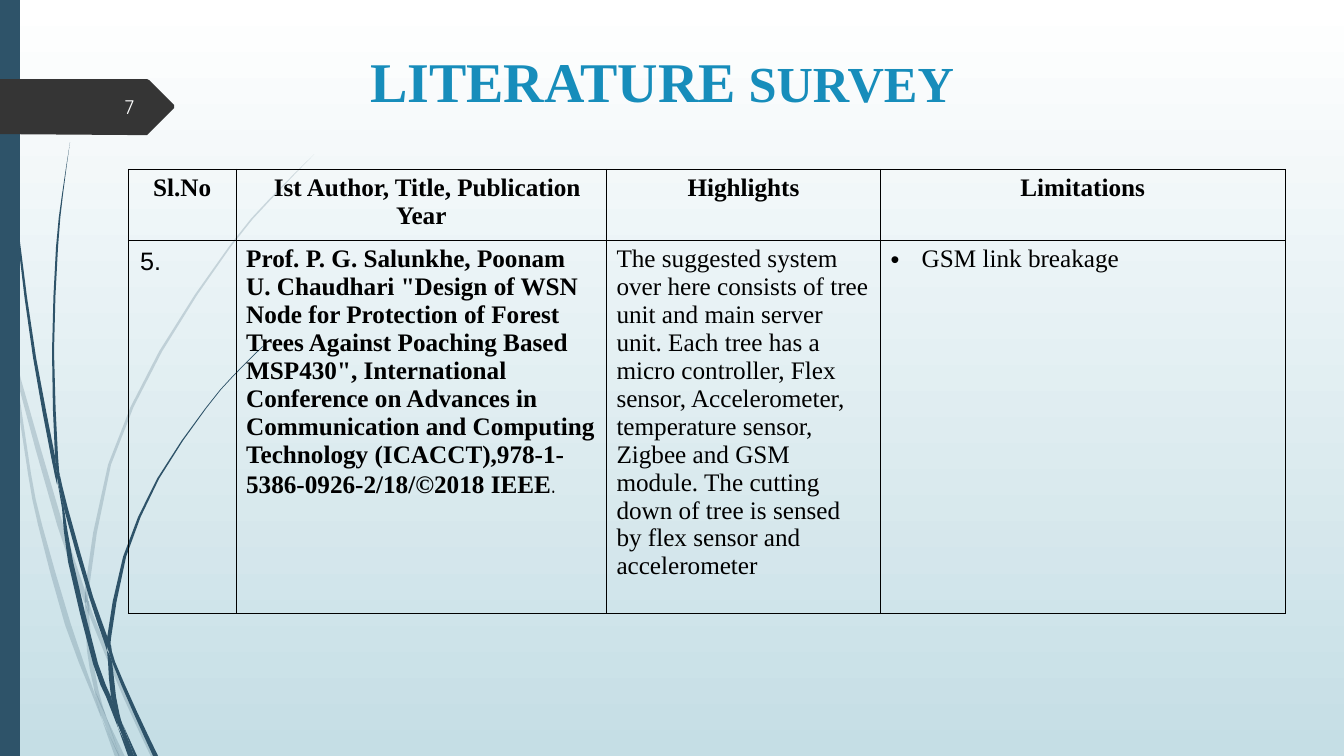
from lxml import etree
from pptx import Presentation, util as u
from pptx.dml.color import RGBColor
from pptx.enum import shapes, text
from pptx.oxml.ns import qn

SCALE = 9080
SERIF = "Times New Roman"
TEAL = "2E5369"
ALIGN = text.PP_ALIGN

PALE = [
    [(0, 0, 284), (0, 4, 301), (5, 8, 324), (11, 11, 352)],
    [(14, 14, 347), (17, 21, 379), (57, 63, 524), (80, 85, 590),
     (85, 85, 603)],
    [(89, 89, 600), (89, 93, 614), (124, 128, 698), (151, 156, 756)],
    [(106, 106, 716), (120, 125, 756)],
    [(11, 11, 352), (14, 17, 379), (28, 31, 473), (38, 42, 524),
     (65, 71, 624), (91, 94, 691), (102, 102, 719)],
    [(85, 85, 603), (85, 89, 614), (87, 92, 650), (94, 98, 688),
     (106, 106, 716)],
    [(314, 314, 154), (269, 271, 199), (229, 231, 246), (159, 162, 351),
     (108, 111, 464), (85, 89, 588), (89, 89, 600)],
    [(102, 102, 719), (115, 120, 756)],
    [(85, 85, 590), (85, 89, 603), (89, 89, 614)],
    [(94, 94, 688), (100, 105, 712), (119, 120, 756)],
]
DARK = [
    [(3, 3, 0), (7, 8, 110), (17, 19, 234), (33, 36, 357), (51, 55, 456),
     (57, 57, 484)],
    [(60, 60, 475), (64, 68, 508), (89, 93, 596), (102, 107, 635),
     (107, 107, 650)],
    [(111, 111, 645), (112, 115, 661), (133, 137, 711), (153, 158, 755)],
    [(57, 57, 480), (62, 64, 508), (68, 73, 561), (93, 98, 663),
     (106, 111, 696), (118, 118, 727)],
    [(70, 70, 142), (62, 63, 194), (56, 58, 247), (52, 54, 351),
     (55, 58, 456), (60, 60, 475)],
    [(123, 123, 724), (134, 137, 755)],
    [(55, 55, 452), (57, 60, 477), (64, 64, 508)],
    [(262, 263, 346), (232, 233, 376), (205, 206, 408), (157, 159, 478),
     (123, 126, 556), (107, 111, 637), (111, 111, 645)],
    [(118, 118, 727), (128, 132, 755)],
    [(107, 107, 650), (108, 112, 661), (111, 116, 696), (122, 122, 724)],
    [(107, 107, 635), (107, 111, 645), (112, 112, 661)],
    [(111, 111, 696), (117, 122, 722), (131, 134, 755)],
]
TAG = [(0, 79), (147, 79), (149, 80), (174, 105), (174, 108), (149, 133),
       (147, 135), (0, 134)]
HEADS = ["Sl.No", "Ist Author, Title, Publication Year", "Highlights",
         "Limitations"]
PAPER = ('Prof. P. G. Salunkhe, Poonam U. Chaudhari "Design of WSN Node for '
         'Protection of Forest Trees Against Poaching Based MSP430", '
         'International Conference on Advances in Communication and Computing '
         'Technology (ICACCT),978-1- 5386-0926-2/18/©2018 IEEE')
POINTS = ("The suggested system over here consists of tree unit and main "
          "server unit. Each tree has a micro controller, Flex sensor, "
          "Accelerometer, temperature sensor, Zigbee and GSM module. The "
          "cutting down of tree is sensed by flex sensor and accelerometer")


def px(num):
    """Turn pixels into EMU."""
    return u.Emu(round(num * SCALE))


def tint(code):
    """Turn a hex string into a colour."""
    return RGBColor.from_string(code)


def write(par, words, size=18, font=SERIF, color="000000", bold=False):
    """Add a formatted run to a paragraph."""
    run = par.add_run()
    run.text = words
    run.font.size = u.Pt(size)
    run.font.name = font
    run.font.bold = bold
    run.font.color.rgb = tint(color)


def paint(shape, color, alpha=100):
    """Give a shape a flat fill with no line or shadow."""
    shape.shadow.inherit = False
    shape.line.fill.background()
    shape.fill.solid()
    shape.fill.fore_color.rgb = tint(color)
    if alpha < 100:
        node = next(shape.element.iter(qn("a:srgbClr")))
        etree.SubElement(node, qn("a:alpha"), val=str(alpha * 1000))


def outline(slide, points, color, alpha=100):
    """Draw a closed filled outline."""
    spots = [(px(x), px(y)) for x, y in points]
    pen = slide.shapes.build_freeform(*spots[0])
    pen.add_line_segments(spots[1:], close=True)
    paint(pen.convert_to_shape(), color, alpha)


def curve(knots, steps=2):
    """Return points on a smooth curve through the knots."""
    ends = [knots[0], *knots, knots[-1]]
    spots = []
    for a, b, c, d in zip(ends, ends[1:], ends[2:], ends[3:]):
        for step in range(steps):
            t = step / steps
            spots.append(tuple(
                q + t * (r - p + t * (2 * p - 5 * q + 4 * r - s
                                      + t * (3 * (q - r) + s - p))) / 2
                for p, q, r, s in zip(a, b, c, d)))
    return spots + [knots[-1]]


def blade(slide, rows, alpha):
    """Draw a piece of grass from its left and right edges."""
    left = curve([(x, y) for x, _, y in rows])
    right = curve([(x, y) for _, x, y in rows])
    outline(slide, left + right[::-1], TEAL, alpha)


def border(cell):
    """Clear a cell's fill and give it thin black borders."""
    cell.fill.background()
    props = cell._tc.get_or_add_tcPr()
    for spot, side in enumerate(("lnL", "lnR", "lnT", "lnB")):
        line = etree.Element(qn("a:" + side), w="5715")
        fill = etree.SubElement(line, qn("a:solidFill"))
        etree.SubElement(fill, qn("a:srgbClr"), val="000000")
        props.insert(spot, line)


def indent(par, left, first, mark=None):
    """Set a paragraph's indents and bullet."""
    props = par._p.get_or_add_pPr()
    props.set("marL", str(px(left)))
    props.set("indent", str(px(first)))
    if mark:
        etree.SubElement(props, qn("a:buFont"), typeface="Arial")
        etree.SubElement(props, qn("a:buChar"), char=mark)


def survey(slide):
    """Add the survey table."""
    frame = slide.shapes.add_table(2, 4, px(128), px(169), px(1156), px(444))
    table = frame.table
    table.first_row = table.horz_banding = False
    for col, wide in zip(table.columns, (108, 370, 274, 404)):
        col.width = px(wide)
    for row, high in zip(table.rows, (71, 373)):
        row.height = px(high)
    for cell in table.iter_cells():
        border(cell)
    for col, head in enumerate(HEADS):
        par = table.cell(0, col).text_frame.paragraphs[0]
        par.alignment = ALIGN.CENTER
        if col == 1:
            indent(par, 0, 12)
        write(par, head, bold=True)
    for col, side in enumerate((12, 10)):
        cell = table.cell(1, col)
        cell.margin_left, cell.margin_right = px(side), px(11)
    num, paper, points, limit = (
        table.cell(1, col).text_frame.paragraphs[0] for col in range(4))
    num.line_spacing = 1.07
    num.space_after = u.Pt(8)
    write(num, "5.", font="Arial")
    write(paper, PAPER, bold=True)
    write(paper, ".", font="Quicksand")
    write(points, POINTS)
    indent(limit, 31, -31, "•")
    write(limit, "GSM link breakage")


def heading(slide):
    """Place and fill the title."""
    title = slide.shapes.title
    title.left, title.top, title.width, title.height = map(
        px, (234, 41, 982, 62))
    frame = title.text_frame
    frame.auto_size = text.MSO_AUTO_SIZE.NONE
    frame.vertical_anchor = text.MSO_ANCHOR.TOP
    frame.margin_left, frame.margin_top = px(136), px(5)
    par = frame.paragraphs[0]
    par.alignment = ALIGN.LEFT
    write(par, "LITERATURE", size=40, color="178DBB", bold=True)
    write(par, " SURVEY", size=36, color="178DBB", bold=True)


def number(slide):
    """Add the slide number on its tag."""
    box = slide.shapes.add_textbox(px(58), px(87), px(86), px(40))
    frame = box.text_frame
    frame.word_wrap = True
    frame.vertical_anchor = text.MSO_ANCHOR.MIDDLE
    par = frame.paragraphs[0]
    par.alignment = ALIGN.RIGHT
    write(par, "7", size=14, font="Quicksand", color="FEFFFF")


def main():
    """Build the slide and save it."""
    deck = Presentation()
    deck.slide_width, deck.slide_height = px(1343), px(755)
    slide = deck.slides.add_slide(deck.slide_layouts[5])
    back = slide.background.fill
    back.gradient()
    back.gradient_angle = 270
    for stop, color in zip(back.gradient_stops, ("FFFFFF", "C5DEE5")):
        stop.color.rgb = tint(color)
    for group, alpha in ((PALE, 20), (DARK, 100)):
        for rows in group:
            blade(slide, rows, alpha)
    bar = slide.shapes.add_shape(
        shapes.MSO_SHAPE.RECTANGLE, 0, 0, px(20), px(755))
    paint(bar, TEAL)
    outline(slide, TAG, "353535")
    heading(slide)
    number(slide)
    survey(slide)
    deck.save("out.pptx")


if __name__ == "__main__":
    main()
